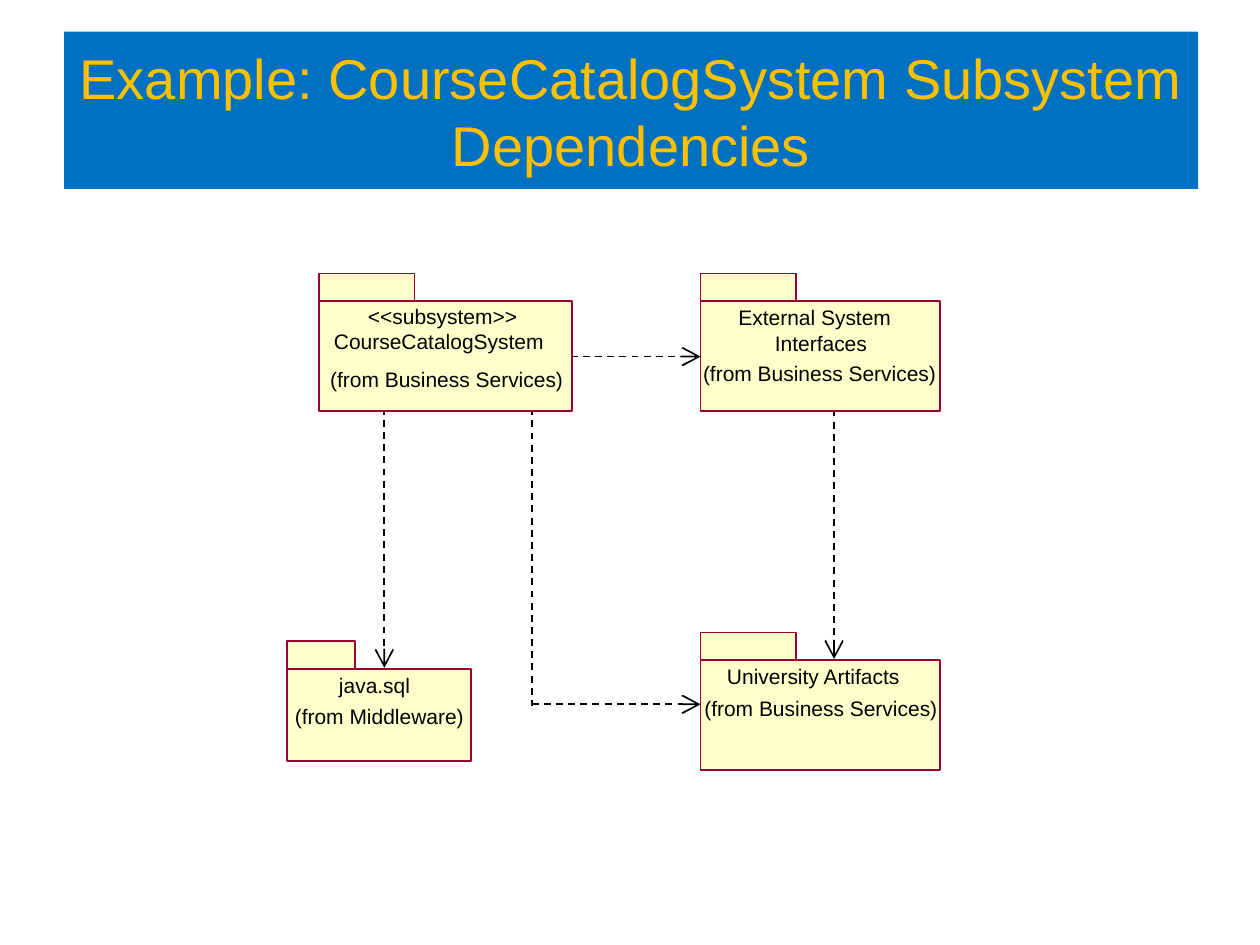
from lxml import etree
from pptx import Presentation
from pptx.dml.color import RGBColor
from pptx.enum.dml import MSO_LINE
from pptx.enum.shapes import MSO_CONNECTOR, MSO_SHAPE
from pptx.enum.text import MSO_ANCHOR, MSO_AUTO_SIZE, PP_ALIGN
from pptx.oxml.ns import qn
from pptx.util import Inches, Pt

RECTANGLE = MSO_SHAPE.RECTANGLE
STRAIGHT = MSO_CONNECTOR.STRAIGHT
DASH = MSO_LINE.DASH
CENTER = PP_ALIGN.CENTER
MIDDLE = MSO_ANCHOR.MIDDLE
NO_AUTOFIT = MSO_AUTO_SIZE.NONE
GROW_TO_TEXT = MSO_AUTO_SIZE.SHAPE_TO_FIT_TEXT
TAB_HEIGHT = 0.22
LABEL_HEIGHT = 0.2
LABEL_SLACK = 0.02


def color(hex_string):
    return RGBColor.from_string(hex_string)


def format_text(para, size, hex_string):
    for span in para.runs:
        span.font.name = "Arial"
        span.font.size = Pt(size)
        span.font.color.rgb = color(hex_string)


deck = Presentation()
deck.slide_width = Inches(10)
deck.slide_height = Inches(7.5)
page = deck.slides.add_slide(deck.slide_layouts[5])

# Title banner
title = page.shapes.title
title.left, title.top = Inches(0.51), Inches(0.25)
title.width, title.height = Inches(9), Inches(1.25)
title.fill.solid()
title.fill.fore_color.rgb = color("0070C0")
title.text_frame.text = "Example: CourseCatalogSystem Subsystem Dependencies"
title.text_frame.word_wrap = True
title.text_frame.auto_size = NO_AUTOFIT
title.text_frame.vertical_anchor = MIDDLE
title.text_frame.paragraphs[0].alignment = CENTER
format_text(title.text_frame.paragraphs[0], 32, "FFC000")

# Dependencies, behind the packages: start x, start y, end x, end y, arrowhead at end
dependencies = [
    (3.05, 3.14, 3.05, 5.3, True),
    (4.53, 2.83, 5.56, 2.83, True),
    (6.62, 3.25, 6.62, 5.23, True),
    (4.22, 3.24, 4.22, 5.6, False),
    (4.22, 5.59, 5.56, 5.59, True),
]
for start_x, start_y, end_x, end_y, has_arrow in dependencies:
    dependency = page.shapes.add_connector(
        STRAIGHT, Inches(start_x), Inches(start_y), Inches(end_x), Inches(end_y))
    dependency.line.color.rgb = color("000000")
    dependency.line.width = Pt(1)
    dependency.line.dash_style = DASH
    if has_arrow:
        line = dependency.line._get_or_add_ln()
        etree.SubElement(line, qn("a:tailEnd"), type="arrow", w="lg", len="lg")
    etree.SubElement(dependency._element.spPr, qn("a:effectLst"))

# Packages: body left, top, width, height, tab width, labels (left, top, width, text)
packages = [
    (2.28, 5.31, 1.46, 0.73, 0.54, [
        (2.69, 5.34, 0.57, "java.sql"),
        (2.34, 5.58, 1.34, "(from Middleware)")]),
    (2.53, 2.39, 2.01, 0.87, 0.76, [
        (2.92, 2.41, 1.19, "<<subsystem>>"),
        (2.65, 2.61, 1.67, "CourseCatalogSystem"),
        (2.62, 2.91, 1.85, "(from Business Services)")]),
    (5.56, 2.39, 1.9, 0.87, 0.76, [
        (5.86, 2.42, 1.26, "External System"),
        (6.15, 2.62, 0.73, "Interfaces"),
        (5.58, 2.86, 1.85, "(from Business Services)")]),
    (5.56, 5.24, 1.9, 0.87, 0.76, [
        (5.77, 5.27, 1.38, "University Artifacts"),
        (5.59, 5.52, 1.85, "(from Business Services)")]),
]
for left, top, width, height, tab_width, labels in packages:
    package = page.shapes.add_group_shape()
    for box_top, box_width, box_height in [
            (top, width, height), (top - TAB_HEIGHT, tab_width, TAB_HEIGHT)]:
        box = package.shapes.add_shape(
            RECTANGLE, Inches(left), Inches(box_top), Inches(box_width), Inches(box_height))
        box.shadow.inherit = False
        box.fill.solid()
        box.fill.fore_color.rgb = color("FFFFCC")
        box.line.color.rgb = color("990033")
        box.line.width = Pt(1)
    for label_left, label_top, label_width, text in labels:
        label = package.shapes.add_textbox(
            Inches(label_left), Inches(label_top),
            Inches(label_width + LABEL_SLACK), Inches(LABEL_HEIGHT))
        frame = label.text_frame
        frame.margin_left = frame.margin_right = 0
        frame.margin_top = frame.margin_bottom = 0
        frame.word_wrap = False
        frame.auto_size = GROW_TO_TEXT
        frame.text = text
        format_text(frame.paragraphs[0], 12, "000000")

deck.save("out.pptx")
